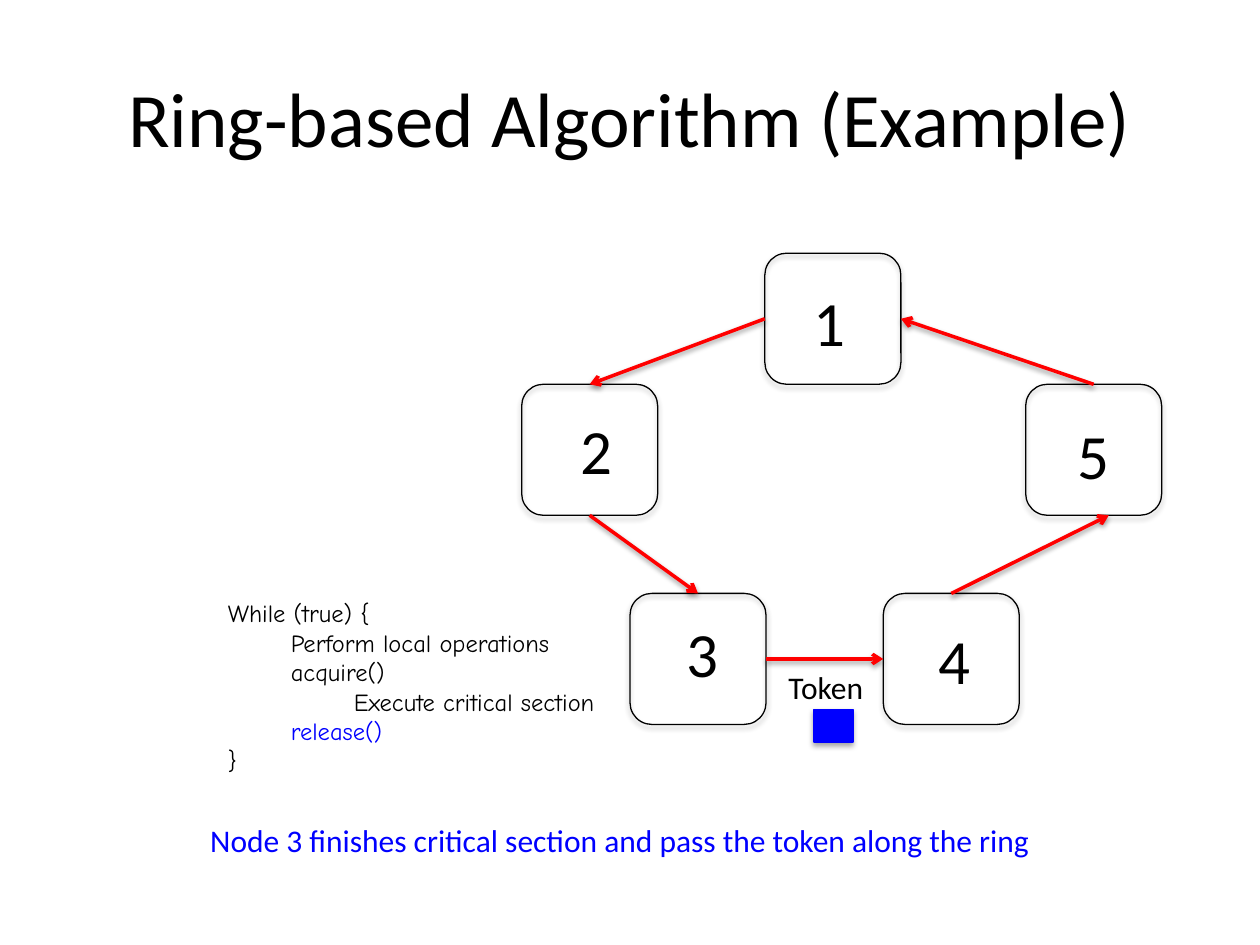
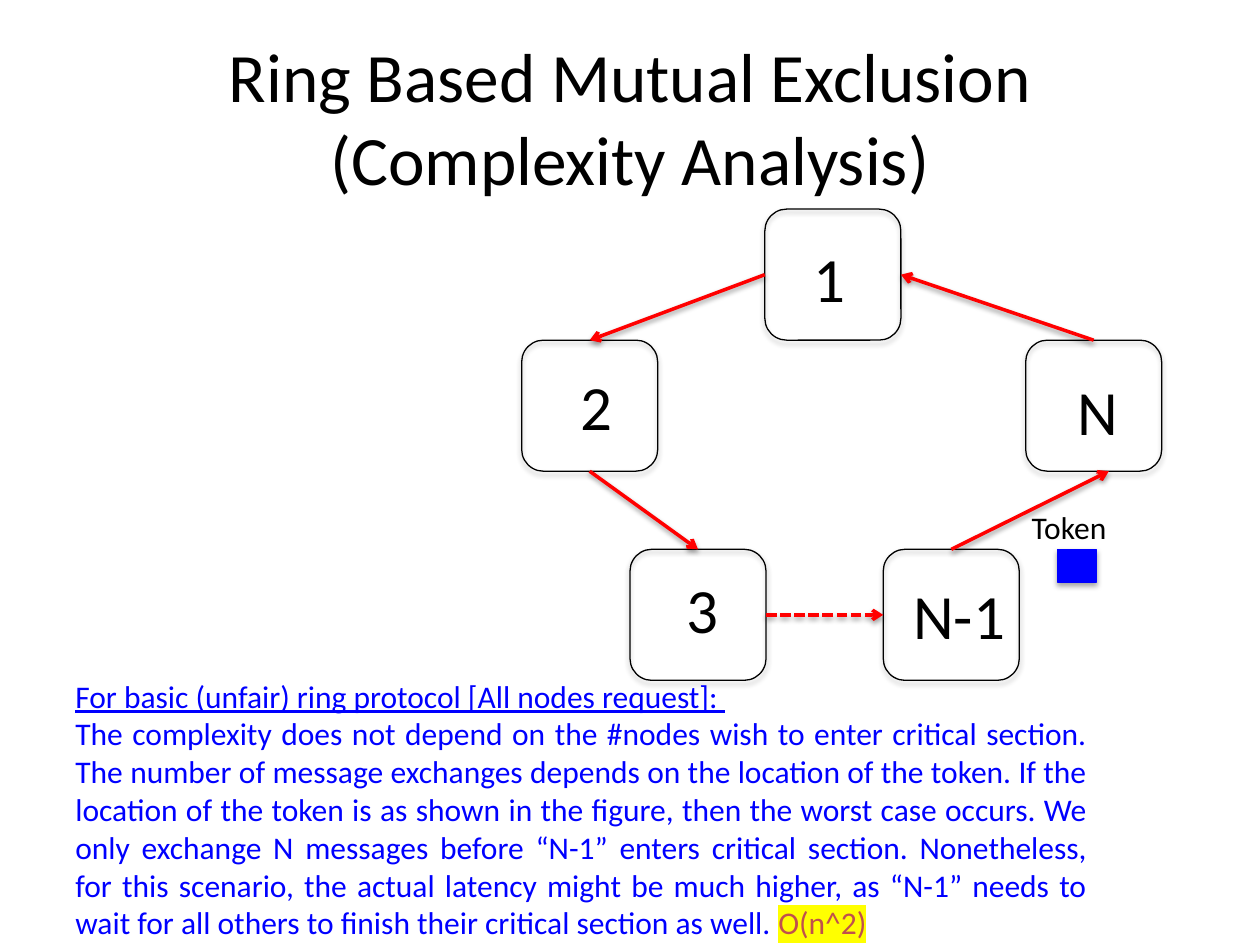
"""Builds two slides on ring-based mutual exclusion."""
from lxml.etree import SubElement
from pptx import Presentation
from pptx.dml.color import RGBColor
from pptx.enum.dml import MSO_LINE
from pptx.enum.shapes import MSO_CONNECTOR as LINK, MSO_SHAPE as SHAPE
from pptx.enum.text import MSO_ANCHOR, MSO_AUTO_SIZE, PP_ALIGN as ALIGN
from pptx.oxml.ns import qn
from pptx.util import Inches, Pt

BLACK, BLUE, RED, BRICK, YELLOW = "000000", "0000FF", "FF0000", "C0504D", "FFFF00"
BODY, CODE = "Calibri", "Comic Neue"
color = RGBColor.from_string

deck = Presentation()
deck.slide_width, deck.slide_height = Inches(10), Inches(7.5)
cell = deck.slide_width / 100


def place(*cells):
    """Turn grid cells, a hundred across the slide, into lengths."""
    return [round(cell * count) for count in cells]


def write(frame, paragraphs, size, font=BODY):
    """Fill a text frame with (alignment, indent, runs) paragraphs."""
    for number, (align, indent, runs) in enumerate(paragraphs):
        paragraph = frame.add_paragraph() if number else frame.paragraphs[0]
        paragraph.alignment = align
        if indent:
            paragraph._p.get_or_add_pPr().set("marL", str(place(indent)[0]))
        for words, shade in runs:
            run = paragraph.add_run()
            run.text = words
            run.font.size, run.font.name = Pt(size), font
            run.font.color.rgb = color(shade)
    return frame


NODE_WIDTH, NODE_HEIGHT = 10.8, 10.4
NODES = [(60.7, 0), (41.4, 10.4), (50, 27), (70.1, 27), (81.4, 10.4)]
LABEL_OFFSETS = [(2.9, 1.9), (3.7, 1.7), (3.5, 1.2), (3.4, 1.7), (3.1, 2.1)]
TOP, LEFT, BOTTOM, RIGHT = range(4)
HOPS = [(LEFT, TOP), (BOTTOM, TOP), (RIGHT, LEFT), (TOP, None), (TOP, RIGHT)]
ring_slides = [
    ("Ring-based Algorithm (Example)", 44, 20.1, "12345", (61.6, 52.5), None),
    ("Ring Based Mutual Exclusion (Complexity Analysis)", 39.6, 16.6,
     ["1", "2", "3", "N-1", "N"], (80.9, 39.8), 2),
]
label_widths = {"N-1": 9.4, "N": 5.3}

slides = []
for heading, heading_size, ring_top, labels, (token_x, token_y), dashed_hop in ring_slides:
    slide = deck.slides.add_slide(deck.slide_layouts[5])
    slides.append(slide)
    title = slide.shapes.title
    title.left, title.top, title.width, title.height = place(5, 3, 90, 12.5)
    title.text_frame.auto_size = MSO_AUTO_SIZE.NONE
    title.text_frame.vertical_anchor = MSO_ANCHOR.MIDDLE
    write(title.text_frame, [(ALIGN.CENTER, 0, [(heading, BLACK)])], heading_size)

    nodes = []
    for x, y in NODES:
        node = slide.shapes.add_shape(
            SHAPE.ROUNDED_RECTANGLE, *place(x, ring_top + y, NODE_WIDTH, NODE_HEIGHT))
        node.fill.background()
        node.line.color.rgb, node.line.width = color(BLACK), Pt(0.75)
        nodes.append(node)

    captions = [("Token", token_x, token_y, 8.3, 4, 18)]
    for label, (x, y), (dx, dy) in zip(labels, NODES, LABEL_OFFSETS):
        width = label_widths.get(label, 4.6)
        shift = 2 if label == "N-1" else 0
        captions.append((label, x + dx - shift, ring_top + y + dy, width, 7.1, 36))
    for words, x, y, width, height, size in captions:
        caption = slide.shapes.add_textbox(*place(x, y, width, height)).text_frame
        caption.word_wrap = False
        write(caption, [(ALIGN.LEFT, 0, [(words, BLACK)])], size)

    hops = []
    for number, (start_side, end_side) in enumerate(HOPS):
        hop = slide.shapes.add_connector(
            LINK.STRAIGHT, 0, 0, *place(88, ring_top + NODES[4][1] + NODE_HEIGHT))
        hop.begin_connect(nodes[number], start_side)
        if end_side is not None:
            hop.end_connect(nodes[(number + 1) % len(nodes)], end_side)
        hop.line.color.rgb, hop.line.width = color(RED), Pt(2)
        if number == dashed_hop:
            hop.line.dash_style = MSO_LINE.SQUARE_DOT
        SubElement(hop.element.spPr.find(qn("a:ln")), qn("a:tailEnd"), type="arrow")
        hops.append(hop)

    token = slide.shapes.add_shape(
        SHAPE.RECTANGLE, *place(token_x + 3, token_y + 3.8, 3.1, 2.6))
    token.fill.solid()
    token.fill.fore_color.rgb = token.line.color.rgb = color(BLUE)
    token.line.width = Pt(0.75)

    for part in [*nodes, token, *hops]:
        opacity, distance = (38, 1.6) if part in hops else (35, 1.8)
        effects = SubElement(part.element.spPr, qn("a:effectLst"))
        shadow = SubElement(effects, qn("a:outerShdw"), blurRad=str(Pt(3.1)),
                            dist=str(Pt(distance)), dir="5400000", rotWithShape="0")
        tint = SubElement(shadow, qn("a:srgbClr"), val=BLACK)
        SubElement(tint, qn("a:alpha"), val=str(opacity * 1000))

example, analysis = slides

loop_code = example.shapes.add_textbox(*place(12.1, 47, 50, 15.1)).text_frame
loop_code.word_wrap = True
code_lines = [
    (5, "While (true) {", BLACK),
    (10, "Perform local operations", BLACK),
    (10, "acquire()", BLACK),
    (15, "Execute critical section", BLACK),
    (10, "release()", BLUE),
    (5, "}", BLACK),
]
write(loop_code, [(ALIGN.JUSTIFY, indent, [(words, shade)])
                  for indent, words, shade in code_lines], 14, CODE)

step = example.shapes.add_textbox(*place(15.7, 64.7, 67.8, 4)).text_frame
step.word_wrap = False
write(step, [(ALIGN.LEFT, 0, [
    ("Node 3 finishes critical section and pass the token along the ring", BLUE)])], 18)

complexity = analysis.shapes.add_textbox(*place(5, 53.2, 82.3, 22.2)).text_frame
complexity.word_wrap = True
write(complexity, [
    (ALIGN.LEFT, 0, [("For basic (unfair) ring protocol [All nodes request]: ", BLUE)]),
    (ALIGN.JUSTIFY, 0, [
        ("The complexity does not depend on the #nodes wish to enter critical section. "
         "The number of message exchanges depends on the location of the token. If the "
         "location of the token is as shown in the figure, then the worst case occurs. "
         "We only exchange N messages before “N-1” enters critical section. Nonetheless, "
         "for this scenario, the actual latency might be much higher, as “N-1” needs to "
         "wait for all others to finish their critical section as well. ", BLUE),
        ("O(n^2)", BRICK)]),
], 18)
complexity.paragraphs[0].runs[0].font.underline = True
bound = complexity.paragraphs[1].runs[1].font._element
highlight = SubElement(bound, qn("a:highlight"))
SubElement(highlight, qn("a:srgbClr"), val=YELLOW)
bound.find(qn("a:solidFill")).addnext(highlight)

deck.save("out.pptx")
